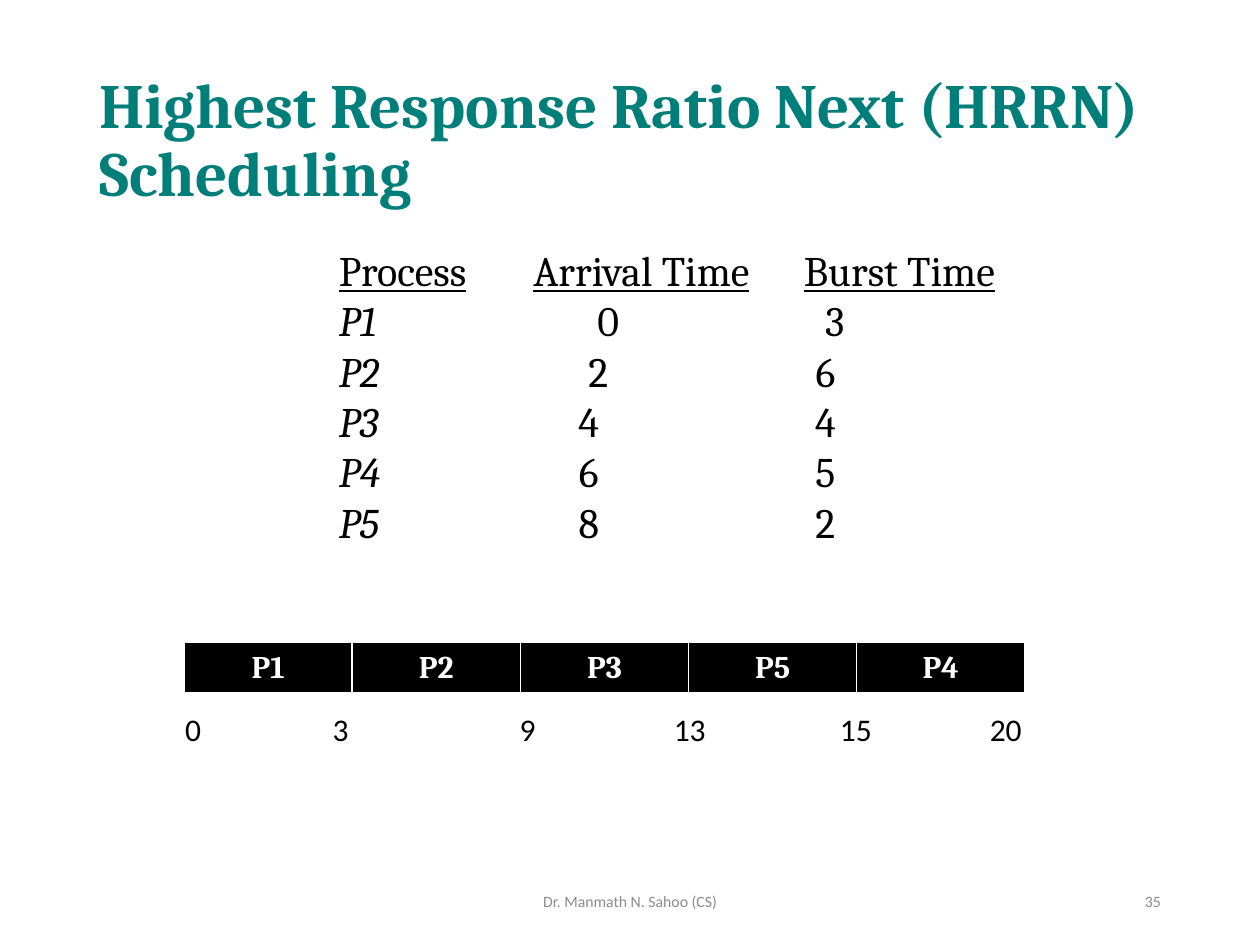
from dataclasses import dataclass

import pptx
import pptx.dml.color
import pptx.enum.text
import pptx.oxml
import pptx.oxml.ns
import pptx.util

Cm, Pt = pptx.util.Cm, pptx.util.Pt
ALIGN = pptx.enum.text.PP_ALIGN
MIDDLE = pptx.enum.text.MSO_ANCHOR.MIDDLE

TITLE = dict(name="Cambria", size=Pt(36), bold=True, color="007E7A")
FOOTER = dict(name="Calibri", size=Pt(9), color="8C8C8C")
BODY = dict(name="Cambria", size=Pt(24), color="000000")
AXIS = dict(name="Calibri", size=Pt(18), bold=False, color="000000")
BAR = dict(name="Cambria", size=Pt(18), bold=True, color="FFFFFF")


@dataclass
class Label:
    text: str
    box: tuple
    fmt: dict
    align: ALIGN
    spacing: float = 1.0


@dataclass
class Row:
    cells: tuple
    tabs: tuple  # centres of the second and third columns, cm
    fmts: tuple
    spacing: float = 1.0


@dataclass
class Strip:
    texts: list
    box: tuple
    widths: list
    aligns: list
    fmt: dict
    fill: str = ""


def rgb(value: str):
    return pptx.dml.color.RGBColor.from_string(value)


def add_run(p, text: str, fmt: dict) -> None:
    r = p.add_run()
    r.text = text
    for key, value in fmt.items():
        if key == "color":
            r.font.color.rgb = rgb(value)
        else:
            setattr(r.font, key, value)


def add_box(s, box: tuple):
    tf = s.shapes.add_textbox(*map(Cm, box)).text_frame
    tf.word_wrap = True
    return tf


def add_label(s, label: Label) -> None:
    tf = add_box(s, label.box)
    tf.vertical_anchor = MIDDLE
    p = tf.paragraphs[0]
    p.alignment, p.line_spacing = label.align, label.spacing
    add_run(p, label.text, label.fmt)


def add_tabs(p, stops: tuple) -> None:
    tabs = pptx.oxml.parse_xml(f"<a:tabLst {pptx.oxml.ns.nsdecls('a')}/>")
    for stop in stops:
        tab = tabs.makeelement(pptx.oxml.ns.qn("a:tab"),
                               {"pos": str(int(Cm(stop))), "algn": "ctr"})
        tabs.append(tab)
    p._p.get_or_add_pPr().append(tabs)


def add_rows(s, box: tuple, rows: list) -> None:
    tf = add_box(s, box)
    for i, row in enumerate(rows):
        p = tf.add_paragraph() if i else tf.paragraphs[0]
        add_tabs(p, row.tabs)
        p.line_spacing = row.spacing
        for j, (text, fmt) in enumerate(zip(row.cells, row.fmts)):
            if j:
                add_run(p, "\t", BODY)
            add_run(p, text, BODY | fmt)


def add_borders(cell, color: str) -> None:
    pr = cell._tc.get_or_add_tcPr()
    for i, (side, width) in enumerate(dict(L=1, R=1, T=1, B=3).items()):
        pr.insert(i, pptx.oxml.parse_xml(
            f"<a:ln{side} {pptx.oxml.ns.nsdecls('a')} w='{int(Pt(width))}'>"
            f"<a:solidFill><a:srgbClr val='{color}'/></a:solidFill></a:ln{side}>"))


def add_strip(s, strip: Strip) -> None:
    tbl = s.shapes.add_table(1, len(strip.texts), *map(Cm, strip.box)).table
    tbl.first_row = tbl.horz_banding = False
    for i, text in enumerate(strip.texts):
        tbl.columns[i].width = Cm(strip.widths[i])
        cell = tbl.cell(0, i)
        cell.vertical_anchor = MIDDLE
        if strip.fill:
            cell.fill.solid()
            cell.fill.fore_color.rgb = rgb(strip.fill)
        else:
            cell.fill.background()
        add_borders(cell, "FFFFFF")
        p = cell.text_frame.paragraphs[0]
        p.alignment = strip.aligns[i]
        add_run(p, text, strip.fmt)


def main() -> None:
    prs = pptx.Presentation()
    prs.slide_width, prs.slide_height = Cm(25.4), Cm(19.05)
    s = prs.slides.add_slide(prs.slide_layouts[6])

    # Title and footer
    for label in (
        Label("Highest Response Ratio Next (HRRN) Scheduling",
              (1.75, 1.02, 21.9, 3.68), TITLE, ALIGN.LEFT, 0.9),
        Label("Dr. Manmath N. Sahoo (CS)", (8.41, 17.65, 8.58, 1.02),
              FOOTER, ALIGN.CENTER),
        Label("35", (17.93, 17.65, 5.72, 1.02), FOOTER, ALIGN.RIGHT),
    ):
        add_label(s, label)

    # Gantt chart: time marks under the bar of processes
    add_strip(s, Strip(["0", "3", "9", "13", "15", "20"],
                       (3.48, 14.2, 17.4, 1.04),
                       [2.97, 1.42, 3.18, 3.43, 3.35, 3.02],
                       [ALIGN.LEFT] * 2 + [ALIGN.RIGHT] * 4, AXIS))
    add_strip(s, Strip(["P1", "P2", "P3", "P5", "P4"],
                       (3.71, 12.95, 16.95, 1.04),
                       [3.39] * 5, [ALIGN.CENTER] * 5, BAR, "000000"))

    # Process list
    head = ({"underline": True},) * 3
    item = ({"italic": True}, {}, {})
    rows = [
        Row(("Process", "Arrival Time", "Burst Time"), (6.1, 11.3), head, 1.1),
        Row(("P1", "0", "3"), (5.43, 10.0), item),
        Row(("P2", "2", "6"), (5.23, 9.81), item),
    ]
    rows += [Row(cells, (5.04, 9.81), item) for cells in
             (("P3", "4", "4"), ("P4", "6", "5"), ("P5", "8", "2"))]
    add_rows(s, (6.58, 4.7, 14.22, 6.5), rows)

    prs.save("out.pptx")


if __name__ == "__main__":
    main()
